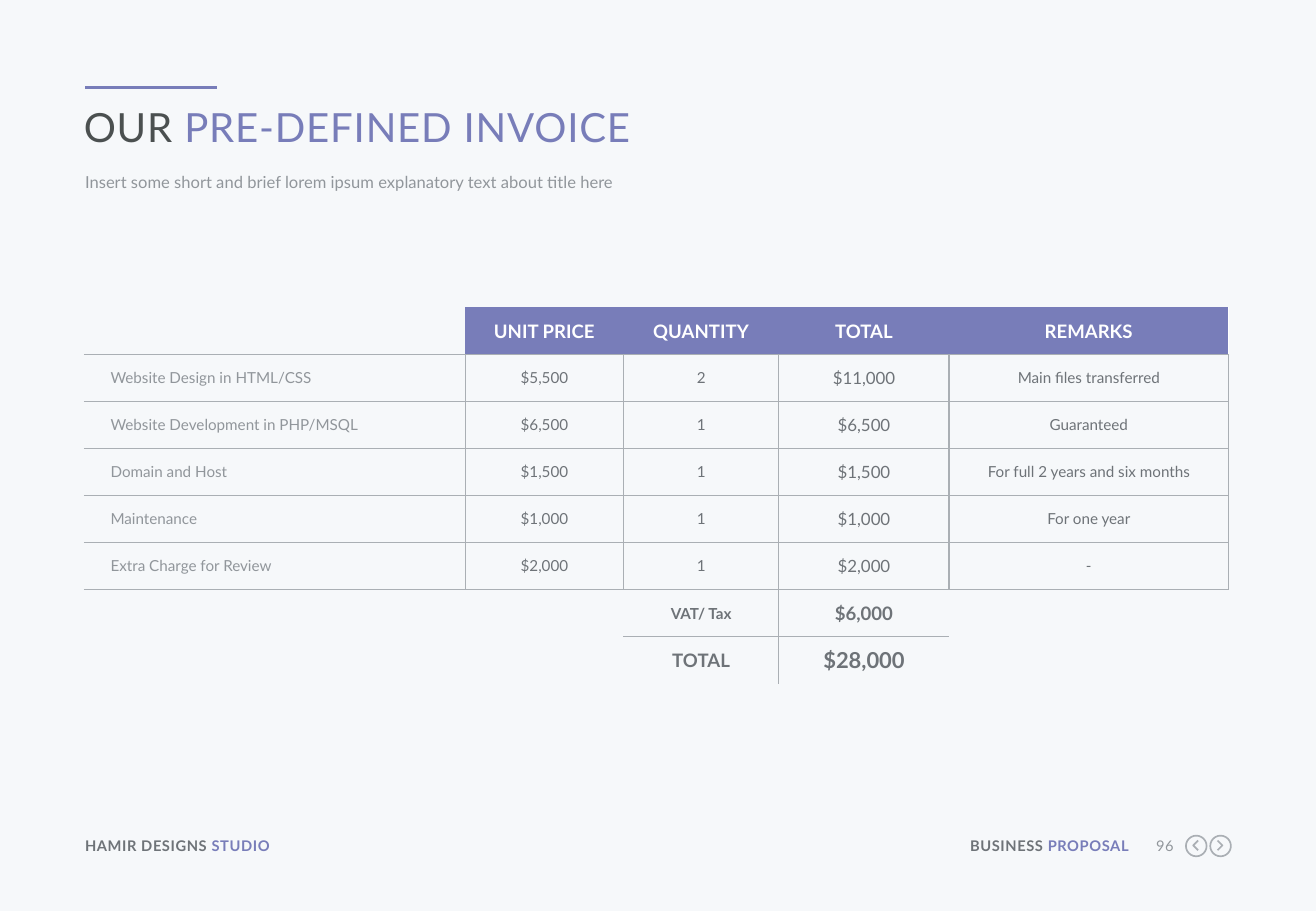
from lxml import etree
from pptx import Presentation
from pptx import util as u
from pptx.dml.color import RGBColor
from pptx.enum import shapes, text
from pptx.oxml import ns

HUES = {"back": "F6F8FA", "main": "787DB9", "dark": "4B5050", "text": "6E7378",
        "pale": "91969B", "line": "AAAFB4", "white": "FFFFFF"}
RGB = {name: RGBColor.from_string(code) for name, code in HUES.items()}
Inches = u.Inches
LEFT, MID, RIGHT = text.PP_ALIGN.LEFT, text.PP_ALIGN.CENTER, text.PP_ALIGN.RIGHT


def write(frame, parts, size, bold=False, align=LEFT, gap=0):
    """Fill a frame with one paragraph of (words, hue) parts; gap is letter spacing in points."""
    frame.margin_left = frame.margin_right = frame.margin_top = frame.margin_bottom = 0
    frame.word_wrap = True
    frame.auto_size = text.MSO_AUTO_SIZE.NONE
    frame.vertical_anchor = text.MSO_ANCHOR.TOP
    para = frame.paragraphs[0]
    para.alignment = align
    para.space_before = u.Pt(0)
    para.font.name, para.font.size, para.font.bold = "Lato", u.Pt(size), bold
    for words, hue in parts:
        run = para.add_run()
        run.text = words
        run.font.color.rgb = RGB[hue]
        if gap:
            run._r.get_or_add_rPr().set("spc", str(round(gap * 100)))
    return para


def edge(cell, sides):
    """Draw cell borders from a dict of side letter to hue, in the order L, R, T, B."""
    props = cell._tc.get_or_add_tcPr()
    for side in "LRTB":
        line = etree.SubElement(props, ns.qn("a:ln" + side), w=str(u.Pt(0.75)))
        if side in sides:
            fill = etree.SubElement(line, ns.qn("a:solidFill"))
            etree.SubElement(fill, ns.qn("a:srgbClr"), val=HUES[sides[side]])
        else:
            etree.SubElement(line, ns.qn("a:noFill"))


deck = Presentation()
deck.slide_width, deck.slide_height = Inches(10.83), Inches(7.5)
slide = deck.slides.add_slide(deck.slide_layouts[2])
slide.background.fill.solid()
slide.background.fill.fore_color.rgb = RGB["back"]

# Heading
bar = slide.shapes.add_connector(shapes.MSO_CONNECTOR.STRAIGHT, Inches(0.7), Inches(0.72),
                                 Inches(1.79), Inches(0.72))
bar.line.color.rgb = RGB["main"]
bar.line.width = u.Pt(2.25)
etree.SubElement(bar._element.spPr, ns.qn("a:effectLst"))

title, intro = slide.placeholders
title.left, title.top, title.width, title.height = map(Inches, (0.69, 0.84, 9.42, 0.41))
write(title.text_frame, [("OUR ", "dark"), ("PRE-DEFINED INVOICE", "main")], 23.8, gap=0.5)
intro.left, intro.top, intro.width, intro.height = map(Inches, (0.7, 1.4, 9.42, 0.21))
para = write(intro.text_frame, [("Insert some short and brief lorem ipsum explanatory "
                                 "text about title here", "pale")], 9.8)
para.line_spacing = u.Pt(13)

# Invoice table
ROWS = [
    ["", "UNIT PRICE", "QUANTITY", "TOTAL", "REMARKS"],
    ["Website Design in HTML/CSS", "$5,500", "2", "$11,000", "Main files transferred"],
    ["Website Development in PHP/MSQL", "$6,500", "1", "$6,500", "Guaranteed"],
    ["Domain and Host", "$1,500", "1", "$1,500", "For full 2 years and six months"],
    ["Maintenance", "$1,000", "1", "$1,000", "For one year"],
    ["Extra Charge for Review", "$2,000", "1", "$2,000", "-"],
    ["", "", "VAT/ Tax", "$6,000", ""],
    ["", "", "TOTAL", "$28,000", ""],
]
SUMS = {(6, 2): 9, (6, 3): 11, (7, 2): 11, (7, 3): 13}
table = slide.shapes.add_table(8, 5, Inches(0.69), Inches(2.53), Inches(9.42), Inches(3.1)).table
props = table._tbl.tblPr
props.find(ns.qn("a:tableStyleId")).text = "{2D5ABB26-0587-4C30-8999-92F81FD0307C}"
table.first_row = table.horz_banding = False
for col, width in zip(table.columns, (3.14, 1.3, 1.28, 1.4, 2.3)):
    col.width = Inches(width)
for row in table.rows:
    row.height = Inches(3.1 / 8)

for r, row in enumerate(ROWS):
    for c, words in enumerate(row):
        cell = table.cell(r, c)
        if r == 0:
            sides = {"R": "white" if c == 4 else "main", "B": "line"}
            if c:
                sides["L"] = "main"
        elif r < 6:
            sides = dict.fromkeys("RTB" if c == 0 else "LRTB", "line")
        elif c in (2, 3):
            sides = dict.fromkeys(("R" if c == 2 else "L") + ("TB" if r == 6 else "T"), "line")
        else:
            sides = {"T": "line"} if r == 6 else {}
        edge(cell, sides)

        if r == 0 and c:
            cell.fill.solid()
            cell.fill.fore_color.rgb = RGB["main"]
            size, hue = 11, "white"
        else:
            cell.fill.background()
            size = SUMS.get((r, c), 10 if c == 3 else 9)
            hue = "text" if c else "pale"
        if words:
            write(cell.text_frame, [(words, hue)], size, r in (0, 6, 7), MID if c else LEFT)
        cell.margin_left = Inches(0.22 if c == 0 else 0)
        cell.margin_right = cell.margin_top = cell.margin_bottom = 0
        cell.vertical_anchor = text.MSO_ANCHOR.MIDDLE
table.cell(6, 0).merge(table.cell(7, 1))
table.cell(6, 4).merge(table.cell(7, 4))

# Footer
for left, width, parts, bold, align in (
        (0.7, 2.11, [("HAMIR DESIGNS ", "text"), ("STUDIO", "main")], True, LEFT),
        (7.92, 1.37, [("BUSINESS ", "text"), ("PROPOSAL", "main")], True, RIGHT),
        (9.41, 0.25, [("96", "pale")], False, RIGHT)):
    box = slide.shapes.add_textbox(Inches(left), Inches(6.89), Inches(width), Inches(0.15))
    write(box.text_frame, parts, 8.7, bold, align, 0.3)

for mid, way in ((9.84, -1), (10.04, 1)):
    ring = slide.shapes.add_shape(shapes.MSO_SHAPE.OVAL, Inches(mid - 0.08), Inches(6.88),
                                  Inches(0.17), Inches(0.17))
    pen = slide.shapes.build_freeform(Inches(mid - 0.02 * way), Inches(6.92), scale=1.0)
    pen.add_line_segments([(Inches(mid + 0.02 * way), Inches(6.96)),
                           (Inches(mid - 0.02 * way), Inches(7))], close=False)
    for part in (ring, pen.convert_to_shape()):
        part.shadow.inherit = False
        part.fill.background()
        part.line.color.rgb = RGB["line"]
        part.line.width = u.Pt(1)

deck.save("out.pptx")
